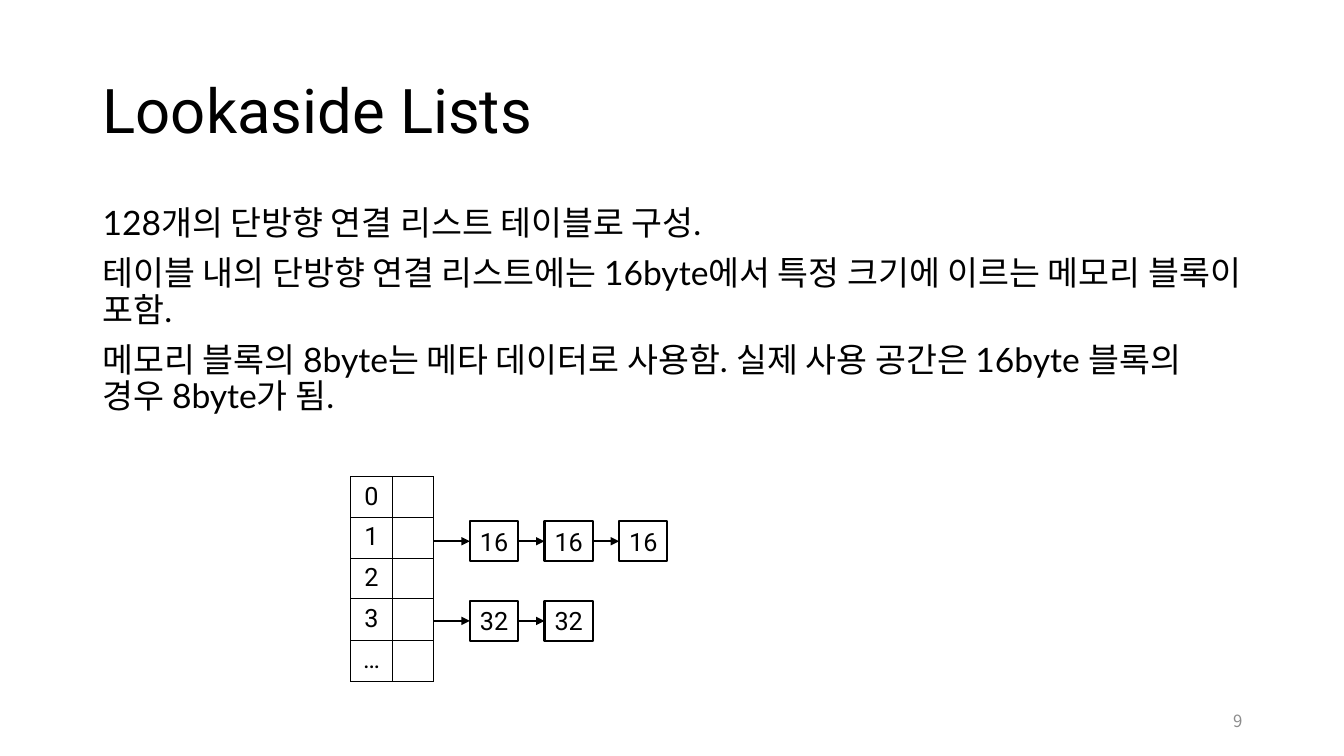
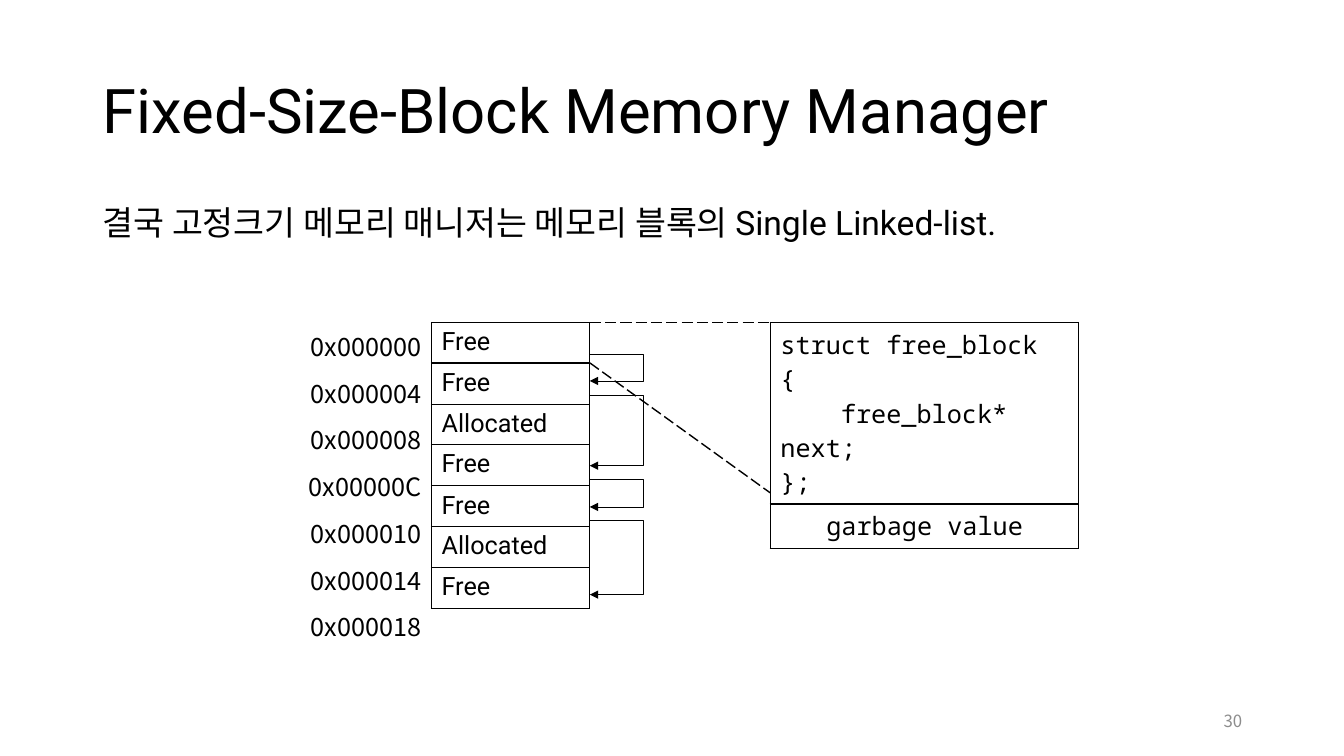
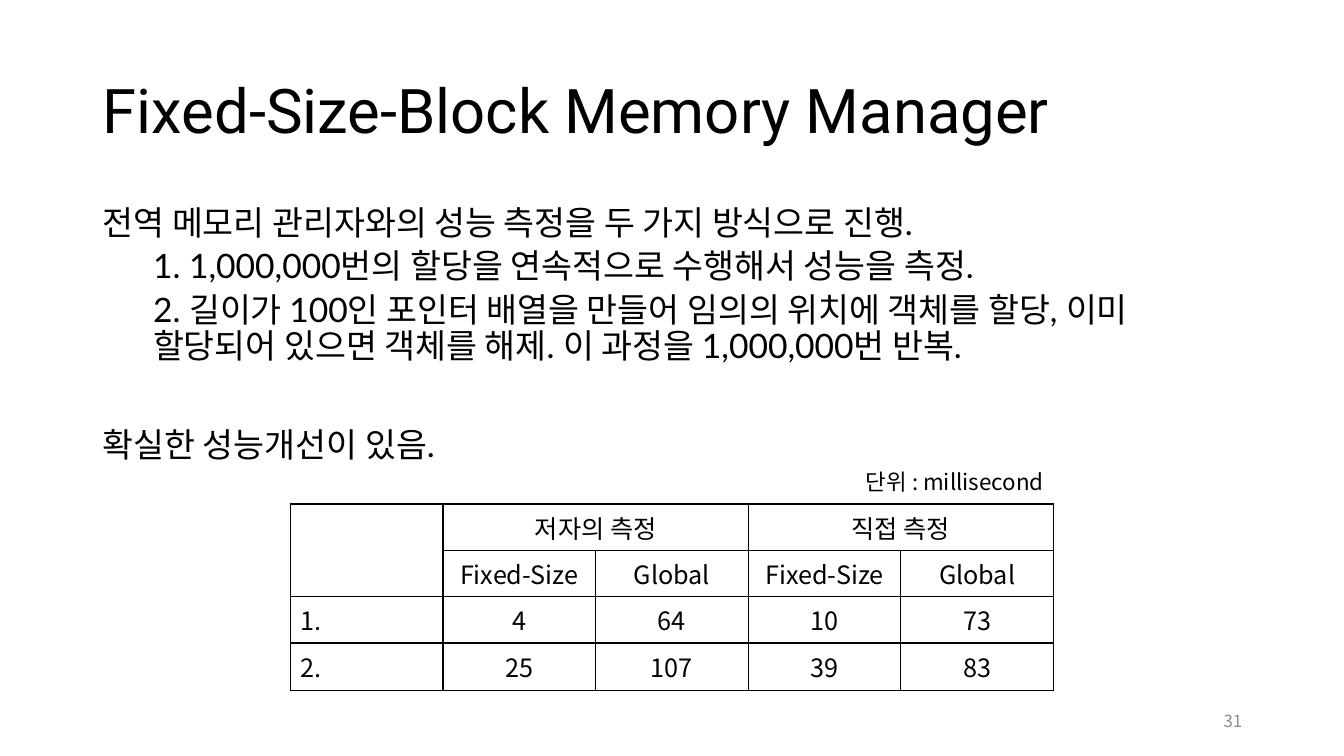
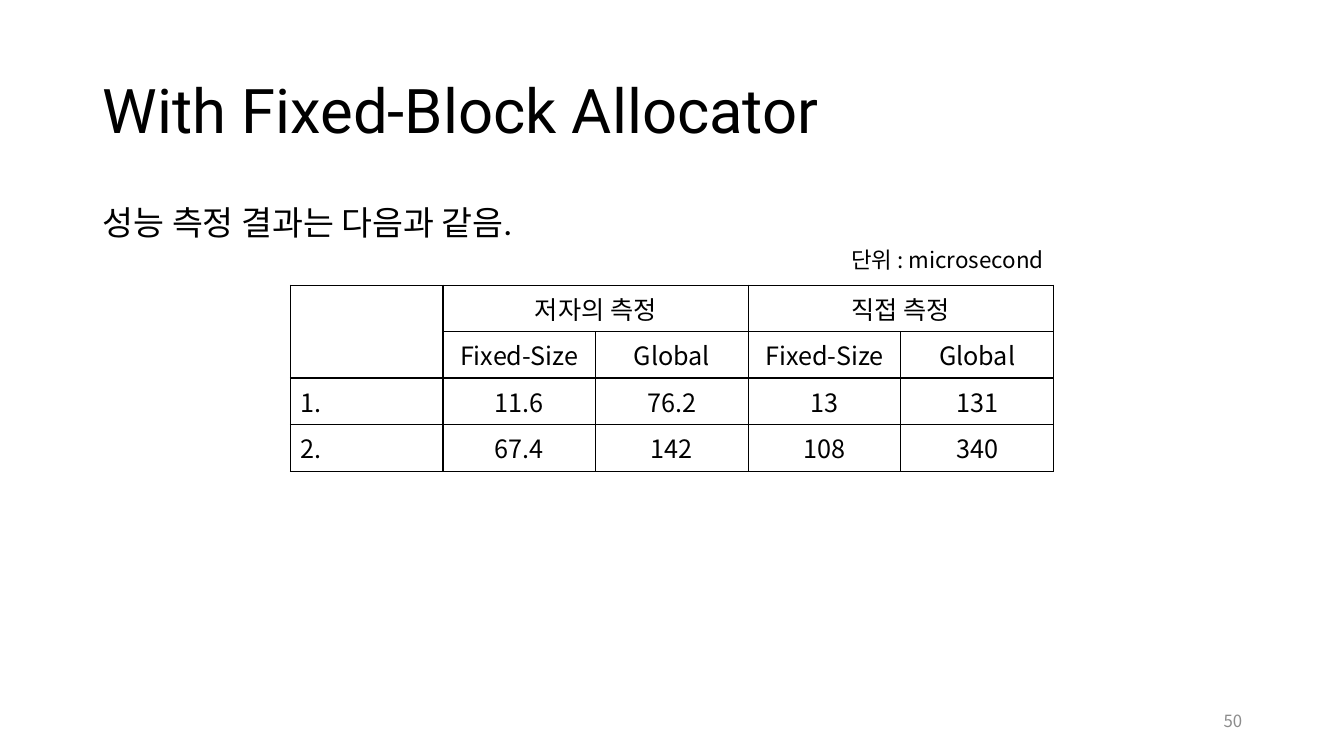
from dataclasses import dataclass
from typing import Optional, Sequence

from lxml.etree import SubElement
from pptx import Presentation
from pptx.dml.color import RGBColor
from pptx.enum.dml import MSO_LINE
from pptx.enum.shapes import MSO_CONNECTOR, MSO_SHAPE
from pptx.enum.text import MSO_ANCHOR, PP_ALIGN
from pptx.oxml.ns import qn
from pptx.presentation import Presentation as Deck
from pptx.shapes.autoshape import Shape
from pptx.shapes.connector import Connector
from pptx.slide import Slide
from pptx.table import _Cell
from pptx.text.text import TextFrame
from pptx.util import Emu, Pt

EMU_PER_PX = 9144
BLACK = RGBColor(0x00, 0x00, 0x00)
GRAY = RGBColor(0x8C, 0x8C, 0x8C)
ROBOTO = "Roboto"
LATO = "Lato"
NOTO = "Noto Sans CJK KR"
MONO = "Noto Sans Mono"


@dataclass(frozen=True)
class Box:
    left: int
    top: int
    width: int
    height: int


@dataclass(frozen=True)
class Line:
    text: str
    font: Optional[str] = None
    tail: str = ""
    tail_font: Optional[str] = None
    margin: int = 0
    indent: int = 0
    before: Optional[int] = None


@dataclass(frozen=True)
class Chain:
    size: str
    count: int
    top: int


@dataclass(frozen=True)
class Loop:
    start: int
    end: int


@dataclass(frozen=True)
class Results:
    unit: str
    unit_top: int
    top: int
    rows: Sequence[Sequence[str]]


TITLE_BOX = Box(92, 40, 1150, 145)
BODY_BOX = Box(92, 200, 1150, 476)
NUMBER_BOX = Box(942, 695, 300, 40)


def px(length: int) -> Emu:
    return Emu(length * EMU_PER_PX)


def spread(total: int, count: int) -> list[int]:
    return [total * (index + 1) // count - total * index // count
            for index in range(count)]


def write(frame: TextFrame, lines: Sequence[Line], *, size: int, font: str,
          color: RGBColor = BLACK, align: PP_ALIGN = PP_ALIGN.LEFT,
          spacing: Optional[float] = None, before: int = 0) -> None:
    for index, line in enumerate(lines):
        paragraph = frame.paragraphs[0] if index == 0 else frame.add_paragraph()
        paragraph.alignment = align
        paragraph.line_spacing = spacing
        paragraph.space_before = Pt(before if line.before is None else line.before)
        properties = paragraph._p.get_or_add_pPr()
        properties.set("marL", str(px(line.margin)))
        properties.set("indent", str(px(line.indent)))
        for text, own_font in ((line.text, line.font), (line.tail, line.tail_font)):
            for part_index, part in enumerate(text.split("\n")):
                if part_index:
                    paragraph.add_line_break()
                if not part:
                    continue
                run = paragraph.add_run()
                run.text = part
                run.font.size = Pt(size)
                run.font.color.rgb = color
                run.font.name = own_font or font


def add_text(slide: Slide, box: Box, lines: Sequence[Line],
             anchor: MSO_ANCHOR = MSO_ANCHOR.TOP, **text_format) -> None:
    frame = slide.shapes.add_textbox(
        px(box.left), px(box.top), px(box.width), px(box.height)).text_frame
    frame.word_wrap = True
    frame.vertical_anchor = anchor
    write(frame, lines, **text_format)


def add_page(deck: Deck, title: str, body: Sequence[Line], number: int) -> Slide:
    slide = deck.slides.add_slide(deck.slide_layouts[6])
    add_text(slide, TITLE_BOX, [Line(title)], MSO_ANCHOR.MIDDLE,
             size=44, font=ROBOTO, spacing=0.9)
    add_text(slide, BODY_BOX, body, size=24, font=LATO, spacing=0.9, before=10)
    add_text(slide, NUMBER_BOX, [Line(str(number))], MSO_ANCHOR.MIDDLE,
             size=12, font=NOTO, color=GRAY, align=PP_ALIGN.RIGHT)
    return slide


def style_cell(cell: _Cell, bordered: bool) -> None:
    properties = cell._tc.get_or_add_tcPr()
    for side in ("lnL", "lnR", "lnT", "lnB"):
        border = SubElement(properties, qn(f"a:{side}"))
        border.set("w", str(Pt(1)))
        if bordered:
            fill = SubElement(border, qn("a:solidFill"))
            SubElement(fill, qn("a:srgbClr")).set("val", str(BLACK))
        else:
            SubElement(border, qn("a:noFill"))
    cell.fill.background()


def add_grid(slide: Slide, left: int, top: int, width: int, heights: Sequence[int],
             rows: Sequence[Sequence[str | Sequence[Line]]],
             aligns: Sequence[PP_ALIGN], font: str,
             spans: Sequence[tuple[int, int, int, int]] = (),
             bordered: bool = True) -> None:
    table = slide.shapes.add_table(
        len(rows), len(rows[0]), px(left), px(top), px(width), px(sum(heights))).table
    table.first_row = False
    table.horz_banding = False
    for row, (height, values) in enumerate(zip(heights, rows)):
        table.rows[row].height = px(height)
        for column, value in enumerate(values):
            cell = table.cell(row, column)
            style_cell(cell, bordered)
            lines = [Line(value)] if isinstance(value, str) else value
            align = aligns[column] if len(lines) == 1 else PP_ALIGN.LEFT
            write(cell.text_frame, lines, size=18, font=font, align=align)
    for first_row, first_column, last_row, last_column in spans:
        table.cell(first_row, first_column).merge(table.cell(last_row, last_column))


def add_line(slide: Slide, start: tuple[int, int], end: tuple[int, int],
             width: float, arrow: bool = False, dashed: bool = False,
             kind: MSO_CONNECTOR = MSO_CONNECTOR.STRAIGHT) -> Connector:
    connector = slide.shapes.add_connector(kind, *map(px, (*start, *end)))
    connector.line.color.rgb = BLACK
    connector.line.width = Pt(width)
    if dashed:
        connector.line.dash_style = MSO_LINE.LONG_DASH
    if arrow:
        SubElement(connector.line._get_or_add_ln(), qn("a:tailEnd")).set("type", "triangle")
    SubElement(connector._element.spPr, qn("a:effectLst"))
    return connector


def add_node(slide: Slide, box: Box, label: str) -> Shape:
    node = slide.shapes.add_shape(
        MSO_SHAPE.RECTANGLE, px(box.left), px(box.top), px(box.width), px(box.height))
    node.shadow.inherit = False
    node.fill.background()
    node.line.color.rgb = BLACK
    node.line.width = Pt(1.5)
    node.text_frame.word_wrap = False
    write(node.text_frame, [Line(label)], size=18, font=ROBOTO, align=PP_ALIGN.CENTER)
    return node


def add_chain(slide: Slide, chain: Chain, table_edge: int) -> None:
    first_left, step, width, height = 466, 74, 48, 40
    middle = chain.top + height // 2
    previous = None
    for index in range(chain.count):
        left = first_left + index * step
        node = add_node(slide, Box(left, chain.top, width, height), chain.size)
        start = left - step + width if previous else table_edge
        link = add_line(slide, (start, middle), (left, middle), 1.5, arrow=True)
        if previous:
            link.begin_connect(previous, 3)
        link.end_connect(node, 1)
        previous = node


def add_loop(slide: Slide, loop: Loop, edge: int) -> None:
    bend = edge + 52
    add_line(slide, (edge, loop.start), (bend, loop.start), 0.5)
    elbow = add_line(slide, (bend, loop.start), (edge, loop.end), 0.5,
                     arrow=True, kind=MSO_CONNECTOR.ELBOW)
    elbow_geometry = elbow._element.spPr.find(qn("a:prstGeom"))
    guide = SubElement(elbow_geometry.find(qn("a:avLst")), qn("a:gd"))
    guide.set("name", "adj1")
    guide.set("fmla", "val -1900")


def add_results(slide: Slide, results: Results) -> None:
    left, width = 288, 757
    header = [["", "저자의 측정", "", "직접 측정", ""],
              ["", *["Fixed-Size", "Global"] * 2]]
    add_grid(slide, left, results.top, width, spread(185, 4),
             [*header, *results.rows], [PP_ALIGN.LEFT] + [PP_ALIGN.CENTER] * 4, NOTO,
             spans=[(0, 0, 1, 0), (0, 1, 0, 2), (0, 3, 0, 4)])
    unit_width = 226
    unit_box = Box(left + width - unit_width, results.unit_top, unit_width, 37)
    add_text(slide, unit_box, [Line(f"단위 : {results.unit}")],
             size=16, font=NOTO, align=PP_ALIGN.RIGHT)


def build_lookaside(deck: Deck) -> None:
    slide = add_page(deck, "Lookaside Lists", [
        Line("128개의 단방향 연결 리스트 테이블로 구성."),
        Line("테이블 내의 단방향 연결 리스트에는 16byte에서 특정 크기에 이르는 메모리 블록이 포함."),
        Line("메모리 블록의 8byte는 메타 데이터로 사용함. 실제 사용 공간은 16byte 블록의 경우 8byte가 됨."),
    ], 9)
    left, width = 348, 82
    add_grid(slide, left, 473, width, spread(203, 5),
             [[index, ""] for index in ("0", "1", "2", "3", "…")],
             [PP_ALIGN.CENTER] * 2, ROBOTO)
    for chain in (Chain("16", 3, 517), Chain("32", 2, 596)):
        add_chain(slide, chain, left + width)


def build_blocks(deck: Deck) -> None:
    slide = add_page(deck, "Fixed-Size-Block Memory Manager", [
        Line("결국 고정크기 메모리 매니저는 메모리 블록의 ",
             tail="Single Linked-list.", tail_font=ROBOTO),
    ], 30)
    left, top, width, struct_left = 428, 320, 157, 764
    edge = left + width
    states = ["Free", "Free", "Allocated", "Free", "Free", "Allocated", "Free"]
    count = len(states)
    add_grid(slide, left, top, width, spread(284, count), [[state] for state in states],
             [PP_ALIGN.LEFT], ROBOTO)
    for loop in (Loop(352, 378), Loop(392, 462), Loop(476, 503), Loop(516, 590)):
        add_loop(slide, loop, edge)
    add_grid(slide, left - width, top, width, spread(325, count),
             [[f"0x{index * 4:06X}"] for index in range(count)],
             [PP_ALIGN.RIGHT], NOTO, bordered=False)
    code = [Line("struct free_block"), Line("{"),
            Line("free_block* next;", indent=60), Line("};")]
    add_grid(slide, struct_left, top, 306, [180, 44], [[code], ["garbage value"]],
             [PP_ALIGN.CENTER], MONO)
    add_line(slide, (edge, top), (struct_left, top), 1, dashed=True)
    add_line(slide, (edge, top + 40), (struct_left, 489), 1, dashed=True)


def build_measurements(deck: Deck) -> None:
    slide = add_page(deck, "Fixed-Size-Block Memory Manager", [
        Line("전역 메모리 관리자와의 성능 측정을 두 가지 방식으로 진행."),
        Line("1. 1,000,000번의 할당을 연속적으로 수행해서 성능을 측정.", margin=50, before=5),
        Line("2. 길이가 100인 포인터 배열을 만들어 임의의 위치에 객체를 할당, 이미\n"
             "할당되어 있으면 객체를 해제. 이 과정을 1,000,000번 반복.", margin=50, before=5),
        Line("확실한 성능개선이 있음.", before=45),
    ], 31)
    add_results(slide, Results("millisecond", 460, 500, [
        ["1.", "4", "64", "10", "73"],
        ["2.", "25", "107", "39", "83"],
    ]))


def build_allocator(deck: Deck) -> None:
    slide = add_page(deck, "With Fixed-Block Allocator",
                     [Line("성능 측정 결과는 다음과 같음.")], 50)
    add_results(slide, Results("microsecond", 239, 283, [
        ["1.", "11.6", "76.2", "13", "131"],
        ["2.", "67.4", "142", "108", "340"],
    ]))


def main() -> None:
    deck = Presentation()
    deck.slide_width = px(1333)
    deck.slide_height = px(750)
    for build in (build_lookaside, build_blocks, build_measurements, build_allocator):
        build(deck)
    deck.save("out.pptx")


if __name__ == "__main__":
    main()
